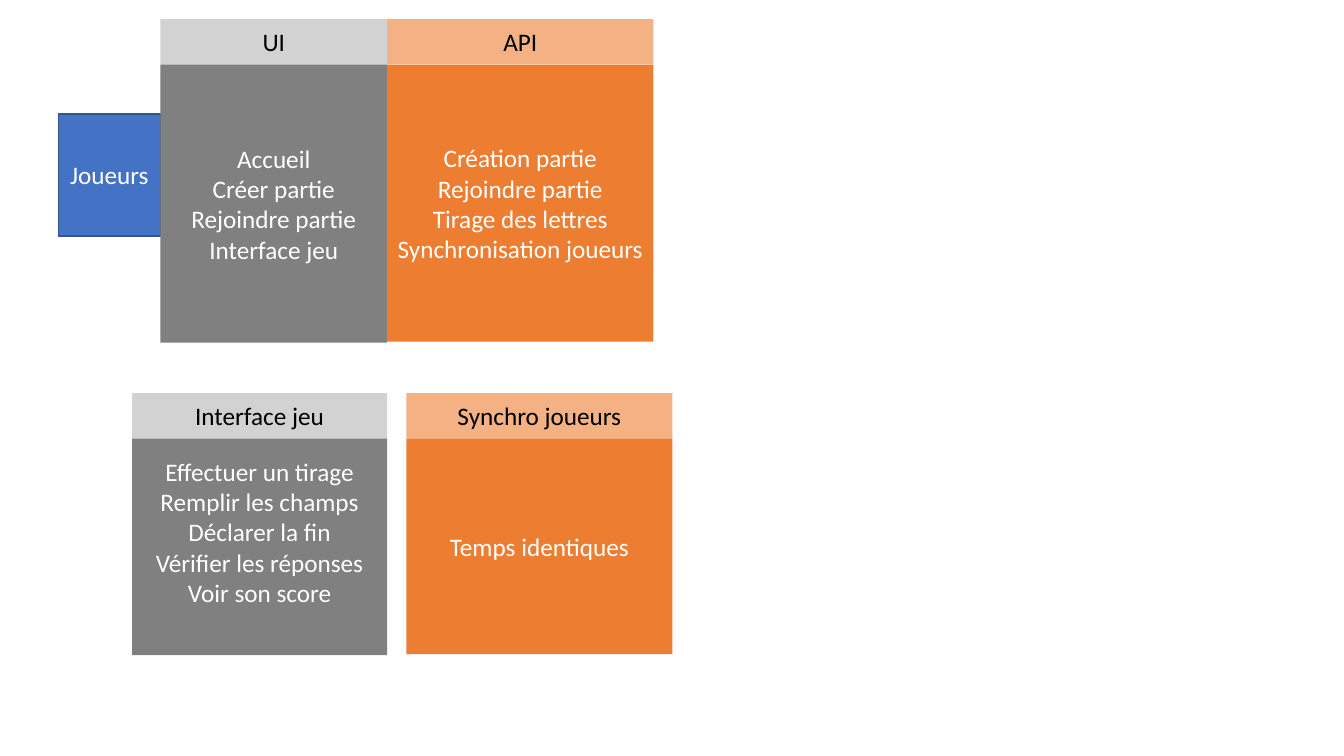
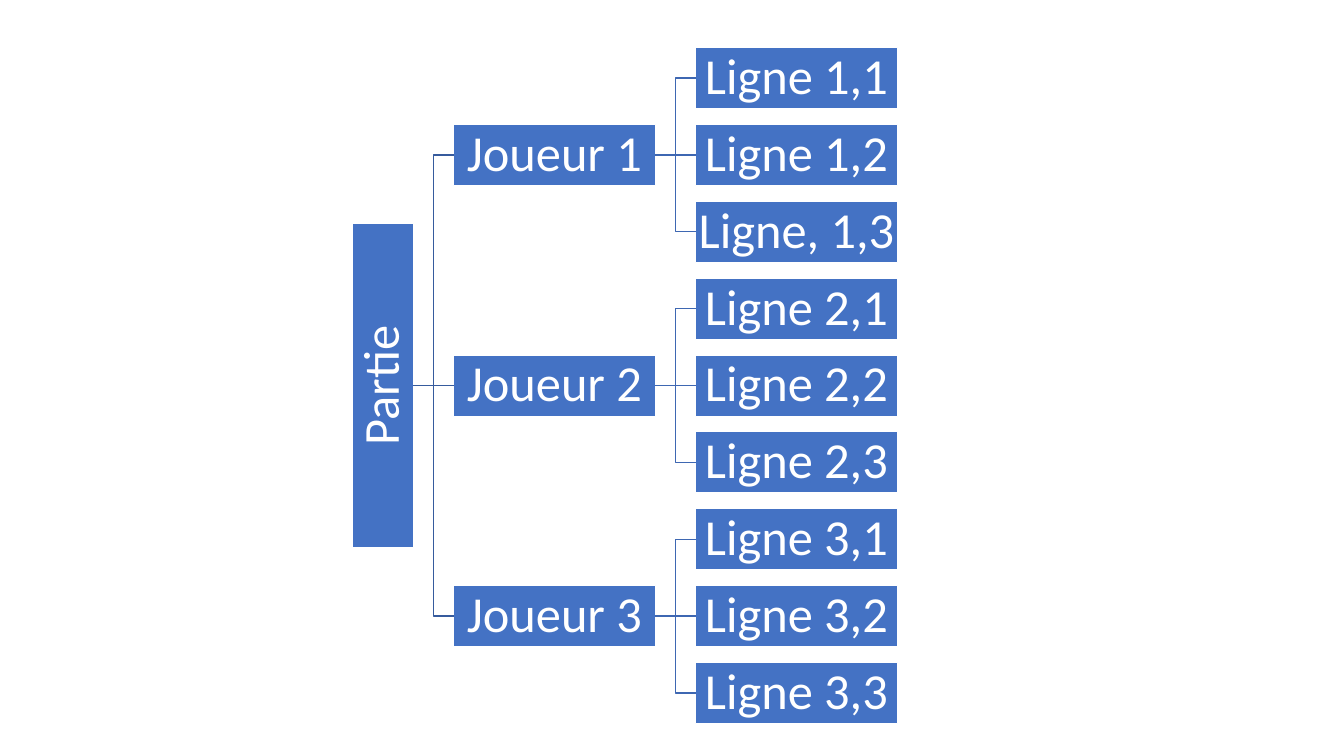
from lxml import etree
from pptx import Presentation
from pptx.dml.color import RGBColor
from pptx.enum import shapes, text
from pptx.oxml.ns import qn
from pptx.util import Inches, Pt

FONT = "Calibri"
WHITE = RGBColor(0xFF, 0xFF, 0xFF)
BLACK = RGBColor(0x00, 0x00, 0x00)
BLUE = RGBColor(0x44, 0x72, 0xC4)
BLUE_EDGE = RGBColor(0x32, 0x54, 0x91)
PLAYER_LINK = RGBColor(0x36, 0x5B, 0x9D)
ROW_LINK = RGBColor(0x3E, 0x67, 0xB2)
GRAY = RGBColor(0x80, 0x80, 0x80)
LIGHT_GRAY = RGBColor(0xD2, 0xD2, 0xD2)
ORANGE = RGBColor(0xED, 0x7D, 0x31)
LIGHT_ORANGE = RGBColor(0xF4, 0xB1, 0x83)

HEADER_H = 0.45
PANELS = [
    ("UI", ["Accueil", "Créer partie", "Rejoindre partie", "Interface jeu"],
     (1.59, 0.19, 2.25, 2.76), GRAY, LIGHT_GRAY, 0.05),
    ("API", ["Création partie", "Rejoindre partie", "Tirage des lettres", "Synchronisation joueurs"],
     (3.84, 0.19, 2.64, 2.75), ORANGE, LIGHT_ORANGE, 0.05),
    ("Interface jeu", ["Effectuer un tirage", "Remplir les champs", "Déclarer la fin",
                       "Vérifier les réponses", "Voir son score"],
     (1.31, 3.9, 2.53, 2.15), GRAY, LIGHT_GRAY, 0.35),
    ("Synchro joueurs", ["Temps identiques"],
     (4.03, 3.9, 2.64, 2.14), ORANGE, LIGHT_ORANGE, 0.05),
]

TREE = [
    ("Joueur 1", ["Ligne 1,1", "Ligne 1,2", "Ligne, 1,3"]),
    ("Joueur 2", ["Ligne 2,1", "Ligne 2,2", "Ligne 2,3"]),
    ("Joueur 3", ["Ligne 3,1", "Ligne 3,2", "Ligne 3,3"]),
]
BOX_W, BOX_H = 2, 0.61
ROOT_X, ROOT_H = 3.49, 3.21
PLAYER_X, ROW_X = 4.5, 6.9
FIRST_Y, LAST_Y = 0.47, 6.57
ROW_STEP = (LAST_Y - FIRST_Y) / 8


def add_box(slide, lines, at, fill, edge=None, color=WHITE, size=18,
            margin=0.05, bottom=None, spacing=1.0):
    sp = slide.shapes.add_shape(shapes.MSO_SHAPE.RECTANGLE, *map(Inches, at))
    sp.shadow.inherit = False
    sp.fill.solid()
    sp.fill.fore_color.rgb = fill
    if edge is None:
        sp.line.fill.background()
    else:
        sp.line.color.rgb = edge
        sp.line.width = Pt(1)
    tf = sp.text_frame
    tf.word_wrap = True
    tf.vertical_anchor = text.MSO_ANCHOR.MIDDLE
    tf.margin_left = tf.margin_right = tf.margin_top = Inches(margin)
    tf.margin_bottom = Inches(margin if bottom is None else bottom)
    for i, line in enumerate(lines):
        p = tf.add_paragraph() if i else tf.paragraphs[0]
        p.alignment = text.PP_ALIGN.CENTER
        p.line_spacing = spacing
        r = p.add_run()
        r.text = line
        r.font.name = FONT
        r.font.size = Pt(size)
        r.font.color.rgb = color
    return sp


def add_node(slide, label, x, y, w=BOX_W, h=BOX_H):
    return add_box(slide, [label], (x, y, w, h), BLUE, WHITE,
                   size=36, margin=0, spacing=0.9)


def add_link(slide, parent, child, color, level):
    kind = shapes.MSO_CONNECTOR.STRAIGHT if level else shapes.MSO_CONNECTOR.ELBOW
    link = slide.shapes.add_connector(kind, 0, 0, 0, 0)
    link.begin_connect(parent, 3)
    link.end_connect(child, 1)
    link.line.color.rgb = color
    link.line.width = Pt(1)
    etree.SubElement(link.element.spPr, qn("a:effectLst"))


def build_panels(slide):
    add_box(slide, ["Joueurs"], (0.58, 1.13, 1.01, 1.21), BLUE, BLUE_EDGE)
    for title, lines, (x, y, w, h), fill, header_fill, bottom in PANELS:
        add_box(slide, lines, (x, y + HEADER_H, w, h), fill, bottom=bottom)
        add_box(slide, [title], (x, y, w, HEADER_H), header_fill, color=BLACK)


def build_tree(slide):
    root_y = (FIRST_Y + LAST_Y + BOX_H - ROOT_H) / 2
    root = add_node(slide, "Partie", ROOT_X, root_y, BOX_H, ROOT_H)
    root.text_frame._txBody.bodyPr.set("vert", "vert270")
    for i, (player, rows) in enumerate(TREE):
        player_y = FIRST_Y + (3 * i + 1) * ROW_STEP
        parent = add_node(slide, player, PLAYER_X, player_y)
        add_link(slide, root, parent, PLAYER_LINK, i == 1)
        for j, row in enumerate(rows):
            child = add_node(slide, row, ROW_X, FIRST_Y + (3 * i + j) * ROW_STEP)
            child.text_frame.word_wrap = False
            add_link(slide, parent, child, ROW_LINK, j == 1)


def main():
    prs = Presentation()
    prs.slide_width, prs.slide_height = Inches(13.33), Inches(7.5)
    for build in (build_panels, build_tree):
        build(prs.slides.add_slide(prs.slide_layouts[6]))
    prs.save("out.pptx")


if __name__ == "__main__":
    main()
